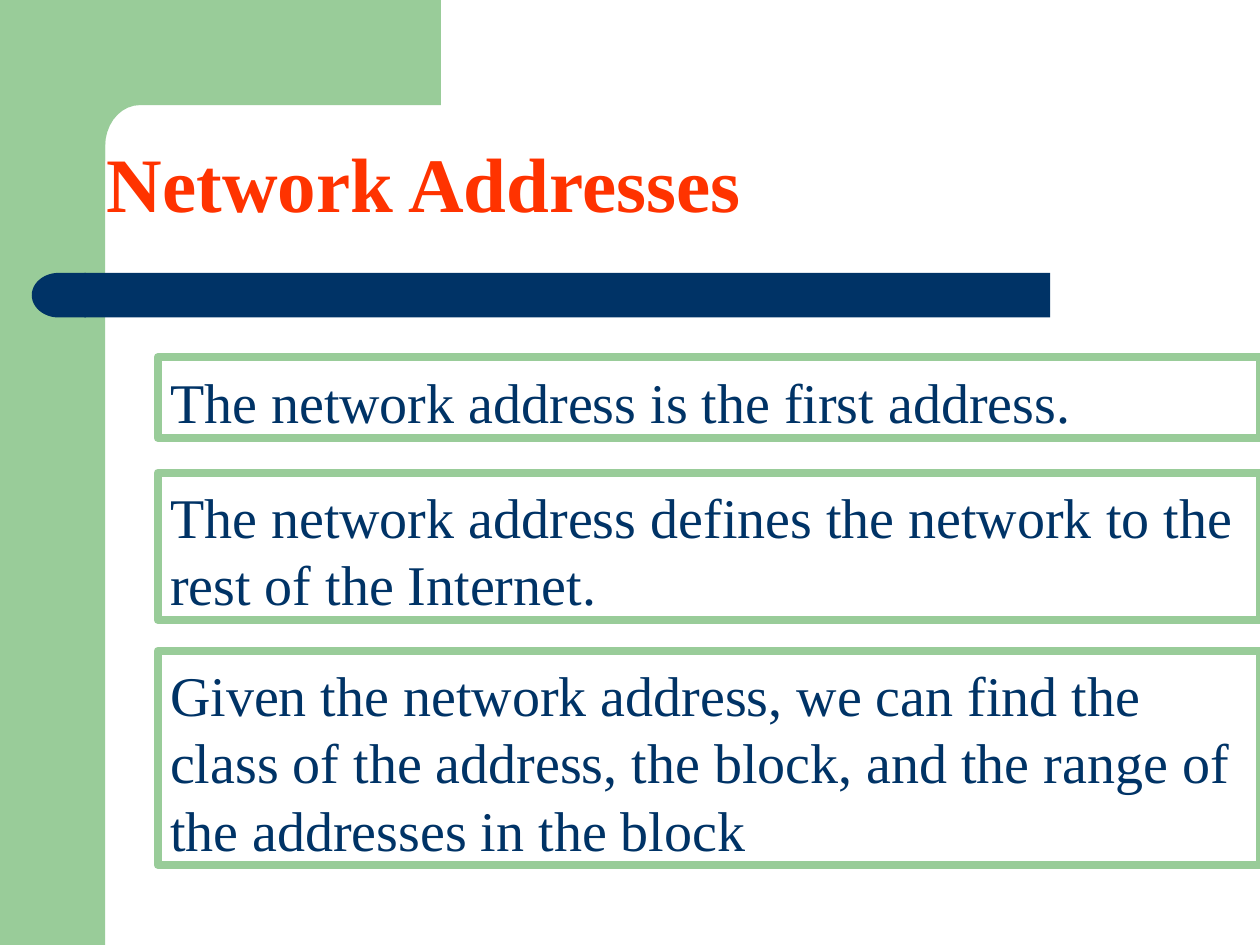
"""Build the Network Addresses slide."""
import math

import pptx
import pptx.dml.color
import pptx.enum.shapes
import pptx.enum.text
import pptx.util

Cm = pptx.util.Cm
Pt = pptx.util.Pt
Kind = pptx.enum.shapes.MSO_SHAPE
GREEN = pptx.dml.color.RGBColor(0x99, 0xCC, 0x99)
NAVY = pptx.dml.color.RGBColor(0x00, 0x33, 0x66)
ORANGE = pptx.dml.color.RGBColor(0xFF, 0x33, 0x00)


def paint(shape, color):
    shape.shadow.inherit = False
    shape.fill.solid()
    shape.fill.fore_color.rgb = color
    shape.line.fill.background()


def write(box, text, size, color, bold=False):
    frame = box.text_frame
    frame.word_wrap = True
    frame.vertical_anchor = pptx.enum.text.MSO_ANCHOR.TOP
    frame.margin_left = frame.margin_right = Cm(0.25)
    frame.margin_top = Cm(0.2)
    frame.margin_bottom = Cm(0.05)
    para = frame.paragraphs[0]
    para.text = text
    para.alignment = pptx.enum.text.PP_ALIGN.LEFT
    para.line_spacing = Pt(size * 1.2)
    para.font.name = "Times New Roman"
    para.font.size = Pt(size)
    para.font.bold = bold
    para.font.color.rgb = color


deck = pptx.Presentation()
deck.slide_width = Cm(25.4)
deck.slide_height = Cm(19.05)
page = deck.slides.add_slide(deck.slide_layouts[6])
shapes = page.shapes

band = shapes.add_shape(Kind.RECTANGLE, 0, 0, Cm(2.12), deck.slide_height)
paint(band, GREEN)

corner = [
    (2.82 - 0.7 * math.sin(math.radians(angle)), 2.95 - 0.83 * math.cos(math.radians(angle)))
    for angle in range(0, 91, 10)
]
outline = [(8.89, 0), (8.89, 2.12), *corner, (2.12, 3.25), (1.27, 3.25)]
builder = shapes.build_freeform(Cm(1.27), 0)
builder.add_line_segments([(Cm(x), Cm(y)) for x, y in outline], close=True)
paint(builder.convert_to_shape(), GREEN)

bar = shapes.add_shape(Kind.ROUNDED_RECTANGLE, Cm(1.7), Cm(5.5), Cm(19.47), Cm(0.9))
bar.adjustments[0] = 0
paint(bar, NAVY)
cap = shapes.add_shape(Kind.FLOWCHART_DELAY, Cm(0.64), Cm(5.5), Cm(1.09), Cm(0.9))
cap.rotation = 180
paint(cap, NAVY)

title = shapes.add_textbox(Cm(1.9), Cm(2.54), Cm(13.97), Cm(2.13))
write(title, "Network Addresses", 44, ORANGE, bold=True)

statements = [
    (7.2, 1.63, "The network address is the first address."),
    (9.53, 2.97, "The network address defines the network to the rest of the Internet."),
    (13.12, 4.32, "Given the network address, we can find the class of the address, "
                  "the block, and the range of the addresses in the block"),
]
for top, height, text in statements:
    box = shapes.add_shape(Kind.RECTANGLE, Cm(3.18), Cm(top), Cm(22.22), Cm(height))
    box.shadow.inherit = False
    box.fill.background()
    box.line.color.rgb = GREEN
    box.line.width = Pt(4.5)
    write(box, text, 32, NAVY)

deck.save("out.pptx")
